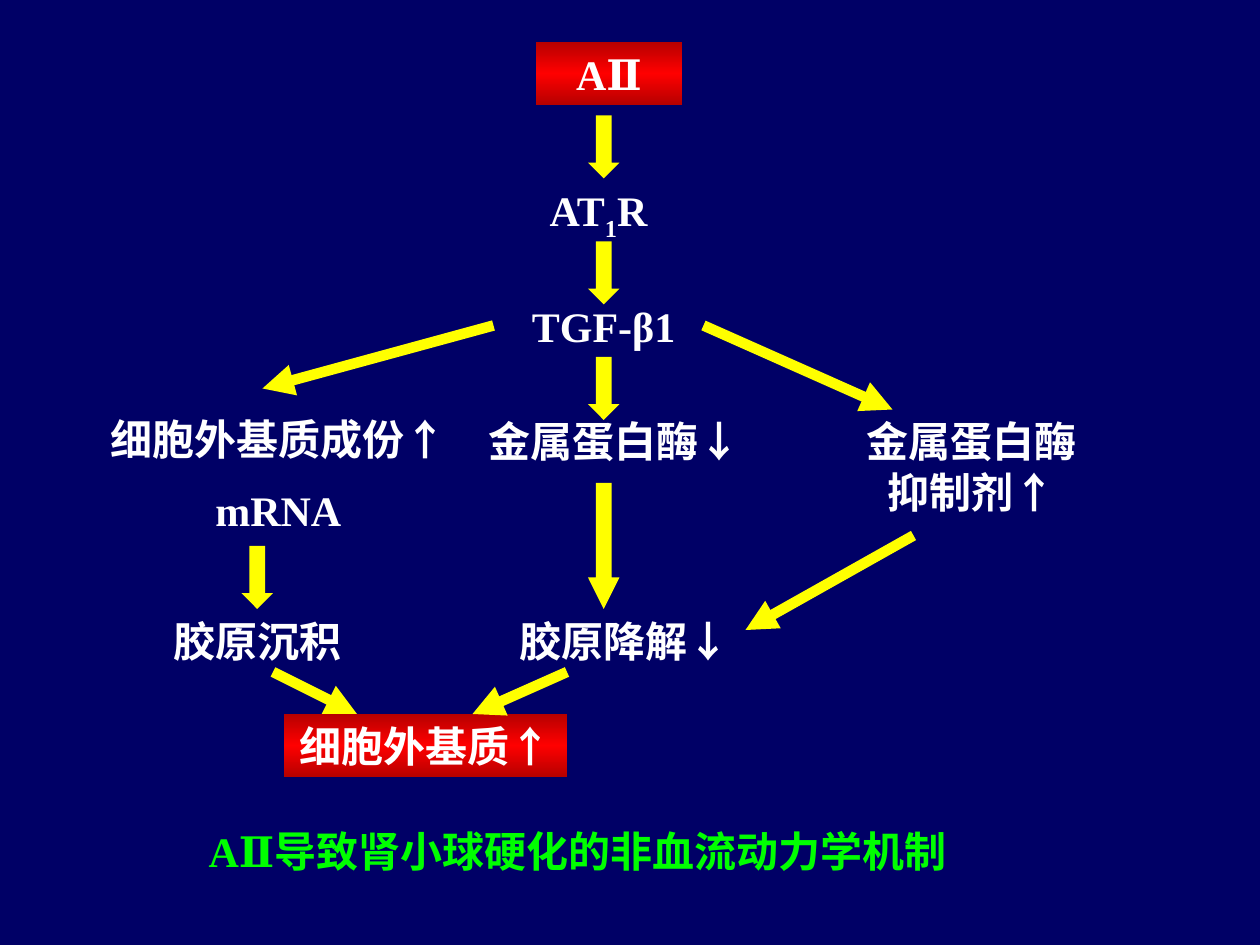
import copy
import dataclasses

import pptx
import pptx.dml.color
import pptx.enum.shapes
import pptx.enum.text
import pptx.oxml.ns
import pptx.util
from lxml import etree

EMU_PER_PX = 7620


def px(length):
    return pptx.util.Emu(length * EMU_PER_PX)


def rgb(value):
    return pptx.dml.color.RGBColor.from_string(value)


@dataclasses.dataclass(frozen=True)
class Theme:
    background: str = "000066"
    text: str = "FFFFFF"
    caption: str = "00FF00"
    arrow: str = "FFFF00"
    box_edge: str = "B60000"
    box_middle: str = "FF0000"
    font: str = "Times New Roman"
    size: int = 24
    paragraph_gap: int = 12
    line_width: int = 6


class PathwaySlide:
    def __init__(self, slide, theme):
        self.slide = slide
        self.theme = theme
        slide.background.fill.solid()
        slide.background.fill.fore_color.rgb = rgb(theme.background)

    def set_text(self, frame, text, color):
        frame.word_wrap = True
        frame.vertical_anchor = pptx.enum.text.MSO_ANCHOR.TOP
        frame.auto_size = pptx.enum.text.MSO_AUTO_SIZE.SHAPE_TO_FIT_TEXT
        frame.text = text
        for position, paragraph in enumerate(frame.paragraphs):
            paragraph.alignment = pptx.enum.text.PP_ALIGN.CENTER
            if position:
                paragraph.space_before = pptx.util.Pt(self.theme.paragraph_gap)
            base, *rest = paragraph.text.split("_")
            paragraph.text = base
            for part in rest:
                paragraph.add_run().text = part
            for index, run in enumerate(paragraph.runs):
                run.font.name = self.theme.font
                run.font.size = pptx.util.Pt(self.theme.size)
                run.font.bold = True
                run.font.color.rgb = rgb(color)
                if index % 2:
                    run.font._element.set("baseline", "-25000")

    def label(self, text, left, top, width, height=60, color=None):
        box = self.slide.shapes.add_textbox(px(left), px(top), px(width), px(height))
        self.set_text(box.text_frame, text, color or self.theme.text)

    def preset(self, kind, left, top, width, height):
        shape = self.slide.shapes.add_shape(kind, px(left), px(top), px(width), px(height))
        shape.shadow.inherit = False
        shape.line.fill.background()
        return shape

    def gradient_box(self, text, left, top, width, height=60):
        box = self.preset(pptx.enum.shapes.MSO_SHAPE.RECTANGLE, left, top, width, height)
        box.fill.gradient()
        box.fill.gradient_angle = 90
        first, middle = box.fill.gradient_stops
        first.color.rgb, first.position = rgb(self.theme.box_edge), 0
        middle.color.rgb, middle.position = rgb(self.theme.box_middle), 0.5
        stops = box._element.spPr.find(".//" + pptx.oxml.ns.qn("a:gsLst"))
        last = copy.deepcopy(stops[0])
        last.set("pos", "100000")
        stops.append(last)
        self.set_text(box.text_frame, text, self.theme.text)

    def down_arrow(self, left, top, height=60, head=0.5):
        arrow = self.preset(pptx.enum.shapes.MSO_SHAPE.DOWN_ARROW, left, top, 30, height)
        arrow.adjustments[1] = head
        arrow.fill.solid()
        arrow.fill.fore_color.rgb = rgb(self.theme.arrow)

    def slanted_arrow(self, start, end):
        arrow = self.slide.shapes.add_connector(
            pptx.enum.shapes.MSO_CONNECTOR.STRAIGHT, *map(px, start + end))
        arrow.line.color.rgb = rgb(self.theme.arrow)
        arrow.line.width = pptx.util.Pt(self.theme.line_width)
        qn = pptx.oxml.ns.qn
        properties = arrow._element.spPr
        etree.SubElement(properties.find(qn("a:ln")), qn("a:tailEnd"), type="triangle")
        etree.SubElement(properties, qn("a:effectLst"))


def main():
    presentation = pptx.Presentation()
    presentation.slide_width = px(1200)
    presentation.slide_height = px(900)
    theme = Theme()
    pathway = PathwaySlide(
        presentation.slides.add_slide(presentation.slide_layouts[6]), theme)

    pathway.gradient_box("AⅡ", 510, 40, 140)
    pathway.label("AT_1_R", 500, 170, 140)
    pathway.label("TGF-β1", 460, 280, 230)
    pathway.label("细胞外基质成份↑\nmRNA", 70, 388, 390, 132)
    pathway.label("金属蛋白酶↓", 450, 390, 270)
    pathway.label("金属蛋白酶抑制剂↑", 810, 390, 230, 108)
    pathway.label("胶原降解↓", 460, 580, 270)
    pathway.label("胶原沉积", 110, 580, 270)
    pathway.gradient_box("细胞外基质↑", 270, 680, 270)

    for left, top in ((560, 110), (560, 230), (560, 340), (230, 520)):
        pathway.down_arrow(left, top)
    pathway.down_arrow(560, 460, height=120, head=1)

    for start, end in (
        ((260, 640), (340, 680)),
        ((540, 640), (450, 680)),
        ((470, 310), (250, 370)),
        ((670, 310), (850, 390)),
        ((870, 510), (710, 600)),
    ):
        pathway.slanted_arrow(start, end)

    pathway.label("AⅡ导致肾小球硬化的非血流动力学机制", 140, 780, 820, color=theme.caption)
    presentation.save("out.pptx")


if __name__ == "__main__":
    main()
